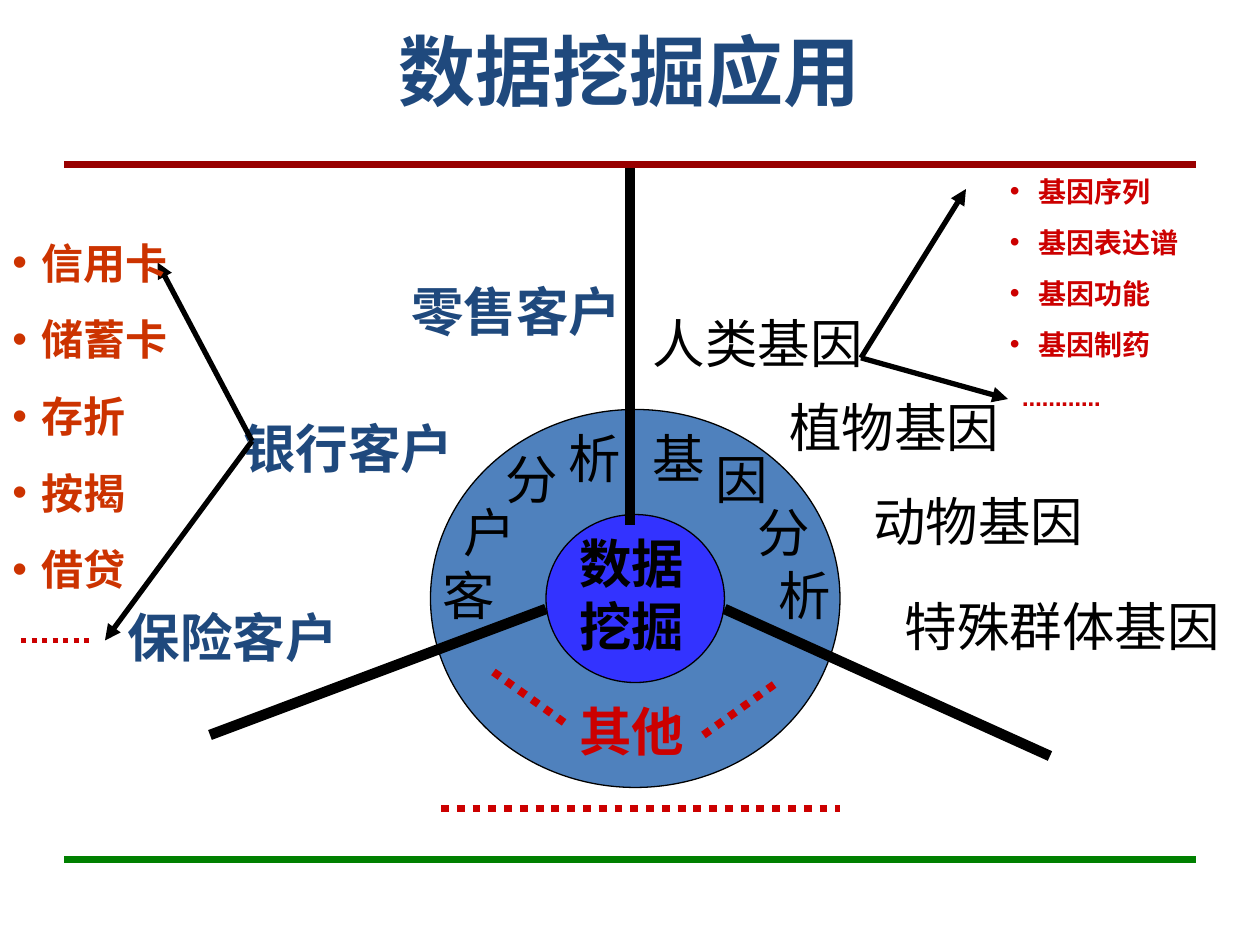
from dataclasses import dataclass
from lxml.etree import SubElement
from pptx import Presentation
from pptx.dml.color import RGBColor
from pptx.enum.dml import MSO_LINE
from pptx.enum.shapes import MSO_CONNECTOR, MSO_SHAPE
from pptx.enum.text import MSO_ANCHOR, MSO_AUTO_SIZE, PP_ALIGN
from pptx.oxml.ns import qn
from pptx.util import Pt


@dataclass(frozen=True)
class Theme:
    font: str = "Cabin"
    navy: str = "1F497D"
    black: str = "000000"
    red: str = "CC0000"
    rust: str = "CC3300"
    maroon: str = "990000"
    green: str = "008000"
    ring: str = "4F81BD"
    core: str = "3333FF"
    title: int = 44
    label: int = 30
    cards: int = 24
    genes: int = 16


THEME = Theme()
FRAME = {
    "word_wrap": True,
    "auto_size": MSO_AUTO_SIZE.SHAPE_TO_FIT_TEXT,
    "margin_left": Pt(7.2),
    "margin_right": Pt(7.2),
    "margin_top": Pt(3.6),
    "margin_bottom": Pt(3.6),
}


def apply(target, values):
    for key, value in values.items():
        setattr(target, key, value)


def add_run(para, words, size, color, bold):
    run = para.add_run()
    run.text = words
    apply(run.font, {"size": Pt(size), "bold": bold, "name": THEME.font})
    run.font.color.rgb = RGBColor.from_string(color)
    SubElement(run.font._element, qn("a:ea"), typeface=THEME.font)


def add_frame(slide, box, **extra):
    frame = slide.shapes.add_textbox(*map(Pt, box)).text_frame
    apply(frame, {**FRAME, **extra})
    return frame


def add_label(slide, words, left, top, width, color=THEME.black,
              bold=False, height=43.2):
    frame = add_frame(slide, (left, top, width, height))
    add_run(frame.paragraphs[0], words, THEME.label, color, bold)


def add_bullet(para, color):
    props = para._p.get_or_add_pPr()
    props.set("marL", str(Pt(16.5)))
    props.set("indent", str(Pt(-16.5)))
    tint = SubElement(props, qn("a:buClr"))
    SubElement(tint, qn("a:srgbClr"), val=color)
    SubElement(props, qn("a:buFont"), typeface="Arial")
    SubElement(props, qn("a:buChar"), char="•")


def add_list(slide, items, box, size, color, gap, last=None):
    frame = add_frame(slide, box)
    rows = items + ([last] if last else [])
    for pos, words in enumerate(rows):
        para = frame.add_paragraph() if pos else frame.paragraphs[0]
        if words == last:
            para._p.get_or_add_pPr().set("marL", str(Pt(7)))
        else:
            add_bullet(para, color)
        if pos:
            para.space_before = Pt(gap)
        add_run(para, words, size, color, True)


def add_line(slide, ends, color, width, dots=False, arrow=False):
    line = slide.shapes.add_connector(MSO_CONNECTOR.STRAIGHT, *map(Pt, ends))
    line.line.color.rgb = RGBColor.from_string(color)
    line.line.width = Pt(width)
    if dots:
        line.line.dash_style = MSO_LINE.ROUND_DOT
    props = line._element.spPr
    if arrow:
        SubElement(props.find(qn("a:ln")), qn("a:tailEnd"), type="triangle")
    SubElement(props, qn("a:effectLst"))


def add_disc(slide, box, color):
    disc = slide.shapes.add_shape(MSO_SHAPE.OVAL, *map(Pt, box))
    disc.shadow.inherit = False
    disc.fill.solid()
    disc.fill.fore_color.rgb = RGBColor.from_string(color)
    disc.line.color.rgb = RGBColor.from_string(THEME.black)
    disc.line.width = Pt(0.75)


def add_title(slide, words):
    frame = add_frame(slide, (28, 18, 664, 52), margin_left=Pt(14.4),
                      margin_right=Pt(14.4), vertical_anchor=MSO_ANCHOR.MIDDLE)
    para = frame.paragraphs[0]
    apply(para, {"alignment": PP_ALIGN.CENTER, "line_spacing": 0.85})
    add_run(para, words, THEME.title, THEME.navy, True)


def main():
    deck = Presentation()
    apply(deck, {"slide_width": Pt(720), "slide_height": Pt(540)})
    slide = deck.slides.add_slide(deck.slide_layouts[6])

    # Page rules and title
    for y, color in ((491, THEME.green), (94.3, THEME.maroon)):
        add_line(slide, (36.7, y, 683.3, y), color, 4)
    add_title(slide, "数据挖掘应用")

    # Wheel and its three spokes
    add_disc(slide, (246, 234, 234, 216), THEME.ring)
    add_disc(slide, (312, 294, 102, 96), THEME.core)
    add_label(slide, "数据挖掘", 324, 300, 78, bold=True, height=79)
    for ends in ((360, 96, 360, 300), (120, 420, 312, 348),
                 (414, 348, 600, 432)):
        add_line(slide, ends, THEME.black, 6)

    # Words bent around the ring, mirrored left to right
    tops = (318, 282, 252, 240)
    left = (246, 258, 282, 318)
    right = (438, 426, 402, 366)
    for words, lefts in (("客户分析", left), ("析分因基", right)):
        for char, x, y in zip(words, lefts, tops):
            add_label(slide, char, x, y, 48)

    # Other uses
    add_label(slide, "其他", 324, 396, 84, THEME.red, True)
    for ends in ((282, 384, 324, 414), (402, 420, 444, 390),
                 (252, 462, 480, 462)):
        add_line(slide, ends, THEME.red, 4.5, dots=True)

    # Customers
    for words, x, y in (("保险客户", 66, 342), ("银行客户", 132, 234),
                        ("零售客户", 228, 156)):
        add_label(slide, words, x, y, 138, THEME.navy, True)
    for tip in ((90, 150), (60, 366)):
        add_line(slide, (144, 252, *tip), THEME.black, 3, arrow=True)
    add_list(slide, ["信用卡", "储蓄卡", "存折", "按揭", "借贷"],
             (0, 132, 126, 212), THEME.cards, THEME.rust, 15)
    add_line(slide, (12, 366, 54, 366), THEME.red, 3, dots=True)

    # Genes
    for words, x, y, width in (("人类基因", 366, 174, 150),
                               ("植物基因", 444, 222, 150),
                               ("动物基因", 492, 276, 150),
                               ("特殊群体基因", 510, 336, 216)):
        add_label(slide, words, x, y, width)
    add_list(slide, ["基因序列", "基因表达谱", "基因功能", "基因制药"],
             (570, 96, 132, 143), THEME.genes, THEME.red, 10, "………...")
    for tip in ((576, 228), (552, 108)):
        add_line(slide, (492, 204.5, *tip), THEME.black, 3, arrow=True)

    deck.save("out.pptx")


if __name__ == "__main__":
    main()
